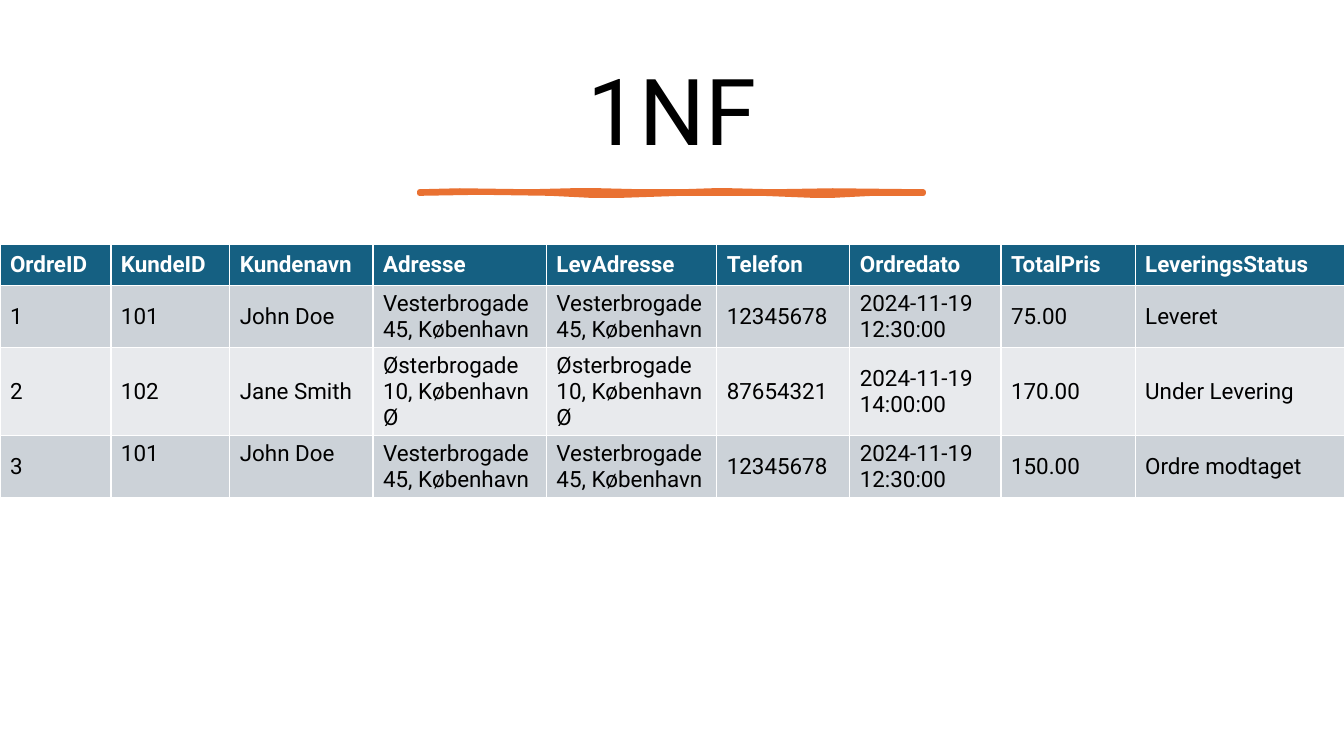
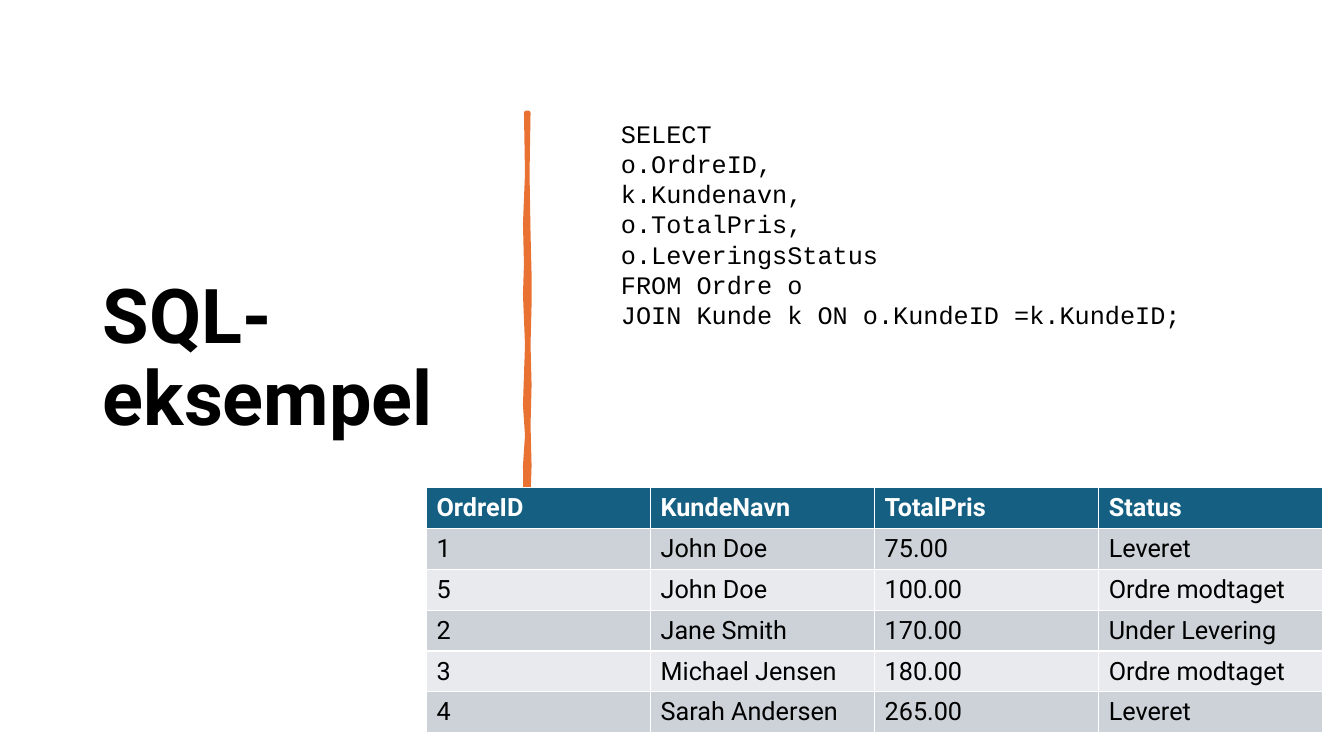
import lxml.etree
import pptx
import pptx.dml.color
import pptx.enum.text
import pptx.oxml.ns
import pptx.util

Inches = pptx.util.Inches
Pt = pptx.util.Pt
ALIGN = pptx.enum.text.PP_ALIGN
ANCHOR = pptx.enum.text.MSO_ANCHOR

COLORS = {
    "text": "000000",
    "accent": "E97132",
    "header": "156082",
    "band_dark": "CCD2D8",
    "band_light": "E8EAED",
    "white": "FFFFFF",
}
BODY_FONT = "Roboto"
CODE_FONT = "Courier New"

ORDERS = [
    ["OrdreID", "KundeID", "Kundenavn", "Adresse", "LevAdresse", "Telefon",
     "Ordredato", "TotalPris", "LeveringsStatus"],
    ["1", "101", "John Doe", "Vesterbrogade 45, København", "Vesterbrogade 45, København",
     "12345678", "2024-11-19 12:30:00", "75.00", "Leveret"],
    ["2", "102", "Jane Smith", "Østerbrogade 10, København Ø", "Østerbrogade 10, København Ø",
     "87654321", "2024-11-19 14:00:00", "170.00", "Under Levering"],
    ["3", "101", "John Doe", "Vesterbrogade 45, København", "Vesterbrogade 45, København",
     "12345678", "2024-11-19 12:30:00", "150.00", "Ordre modtaget"],
]
QUERY = [
    "SELECT",
    "o.OrdreID,",
    "k.Kundenavn,",
    "o.TotalPris,",
    "o.LeveringsStatus",
    "FROM Ordre o",
    "JOIN Kunde k ON o.KundeID =k.KundeID;",
]
QUERY_RESULT = [
    ["OrdreID", "KundeNavn", "TotalPris", "Status"],
    ["1", "John Doe", "75.00", "Leveret"],
    ["5", "John Doe", "100.00", "Ordre modtaget"],
    ["2", "Jane Smith", "170.00", "Under Levering"],
    ["3", "Michael Jensen", "180.00", "Ordre modtaget"],
    ["4", "Sarah Andersen", "265.00", "Leveret"],
]

# Edges of the brush strokes: distance along the stroke, offset across it.
UNDERLINE_EDGES = (
    [(0, 0), (0.4, -0.01), (1.1, 0), (1.5, -0.01), (1.8, -0.01), (2.2, 0),
     (2.6, 0), (2.9, -0.01), (3.1, -0.01), (3.5, 0), (4.1, -0.01), (5, 0)],
    [(0, 0.02), (0.6, 0.01), (1.3, 0.02), (1.7, 0.04), (2, 0.04), (2.6, 0.02),
     (3.4, 0.02), (3.9, 0.04), (4.1, 0.04), (4.5, 0.02), (5, 0.02)],
)
DIVIDER_EDGES = (
    [(0, 0.02), (0.6, 0.01), (1.2, 0.02), (1.6, 0.03), (1.9, 0.03), (2.3, 0.02),
     (2.7, 0.03), (3.1, 0.02), (3.5, 0.03), (3.8, 0.02), (4.9, 0.02)],
    [(0, 0), (0.6, 0.01), (1.1, -0.01), (1.5, 0), (1.8, -0.01), (2.3, 0.01),
     (2.9, -0.01), (3.2, 0.01), (3.5, -0.01), (4.3, 0), (4.9, 0)],
)


def rgb(name):
    return pptx.dml.color.RGBColor.from_string(COLORS[name])


def format_runs(para, size, color="text", font=BODY_FONT, bold=False):
    for span in para.runs:
        span.font.name = font
        span.font.size = Pt(size)
        span.font.bold = bold
        span.font.color.rgb = rgb(color)


def place(shape, box):
    shape.left, shape.top, shape.width, shape.height = map(Inches, box)


def add_titled_page(deck, title, box, size, align, bold=False):
    page = deck.slides.add_slide(deck.slide_layouts[5])
    heading = page.shapes.title
    place(heading, box)
    frame = heading.text_frame
    frame.text = title
    frame.word_wrap = True
    frame.auto_size = pptx.enum.text.MSO_AUTO_SIZE.NONE
    frame.vertical_anchor = ANCHOR.MIDDLE
    para = frame.paragraphs[0]
    para.alignment = align
    para.line_spacing = 0.9
    format_runs(para, size, bold=bold)
    return page


def add_brush_stroke(page, left, top, edges, vertical=False):
    near, far = edges
    outline = near + far[::-1]
    if vertical:
        outline = [(across, along) for along, across in outline]
    points = [(Inches(left + x), Inches(top + y)) for x, y in outline]
    builder = page.shapes.build_freeform(*points[0])
    builder.add_line_segments(points[1:], close=True)
    stroke = builder.convert_to_shape()
    stroke.shadow.inherit = False
    stroke.fill.solid()
    stroke.fill.fore_color.rgb = rgb("accent")
    stroke.line.color.rgb = rgb("accent")
    stroke.line.width = Pt(3.25)
    outline_xml = stroke.line.fill._xPr
    lxml.etree.SubElement(outline_xml, pptx.oxml.ns.qn("a:round"))


def add_banded_table(page, left, top, widths, heights, rows, size, top_cells=()):
    """Add a table; top_cells lists the (row, column) pairs set at the top of the cell."""
    table = page.shapes.add_table(
        len(rows), len(widths), Inches(left), Inches(top),
        Inches(sum(widths)), Inches(sum(heights))).table
    for column, width in zip(table.columns, widths):
        column.width = Inches(width)
    for r, (values, height) in enumerate(zip(rows, heights)):
        table.rows[r].height = Inches(height)
        header = r == 0
        fill = "header" if header else "band_dark" if r % 2 else "band_light"
        for c, value in enumerate(values):
            cell = table.cell(r, c)
            cell.text_frame.text = value
            cell.vertical_anchor = ANCHOR.TOP if (r, c) in top_cells else ANCHOR.MIDDLE
            format_runs(cell.text_frame.paragraphs[0], size,
                        color="white" if header else "text", bold=header)
            cell.fill.solid()
            cell.fill.fore_color.rgb = rgb(fill)


def add_code(page, box, lines):
    frame = page.shapes.add_textbox(*map(Inches, box)).text_frame
    frame.word_wrap = True
    frame.text = "\n".join(lines)
    for para in frame.paragraphs:
        format_runs(para, 18, font=CODE_FONT)


def build_normal_form_page(deck):
    page = add_titled_page(deck, "1NF", (0.7, 0.46, 11.93, 1.37), 66, ALIGN.CENTER)
    add_brush_stroke(page, 4.16, 1.9, UNDERLINE_EDGES)
    add_banded_table(
        page, 0, 2.42, [1.1, 1.18, 1.42, 1.72, 1.69, 1.32, 1.5, 1.33, 2.08],
        [0.41, 0.61, 0.87, 0.61], ORDERS, 16, top_cells={(3, 1), (3, 2)})


def build_sql_page(deck):
    page = add_titled_page(deck, "SQL-eksempel", (0.92, 0.6, 3.94, 5.94), 54,
                           ALIGN.LEFT, bold=True)
    add_brush_stroke(page, 5.22, 1.12, DIVIDER_EDGES, vertical=True)
    add_code(page, (6.06, 1.12, 6.19, 2.22), QUERY)
    column_count, row_count = len(QUERY_RESULT[0]), len(QUERY_RESULT)
    add_banded_table(page, 4.23, 4.84, [8.89 / column_count] * column_count,
                     [2.43 / row_count] * row_count, QUERY_RESULT, 18,
                     top_cells={(0, c) for c in range(column_count)})


def main():
    deck = pptx.Presentation()
    deck.slide_width = Inches(13.33)
    deck.slide_height = Inches(7.5)
    build_normal_form_page(deck)
    build_sql_page(deck)
    deck.save("out.pptx")


if __name__ == "__main__":
    main()
